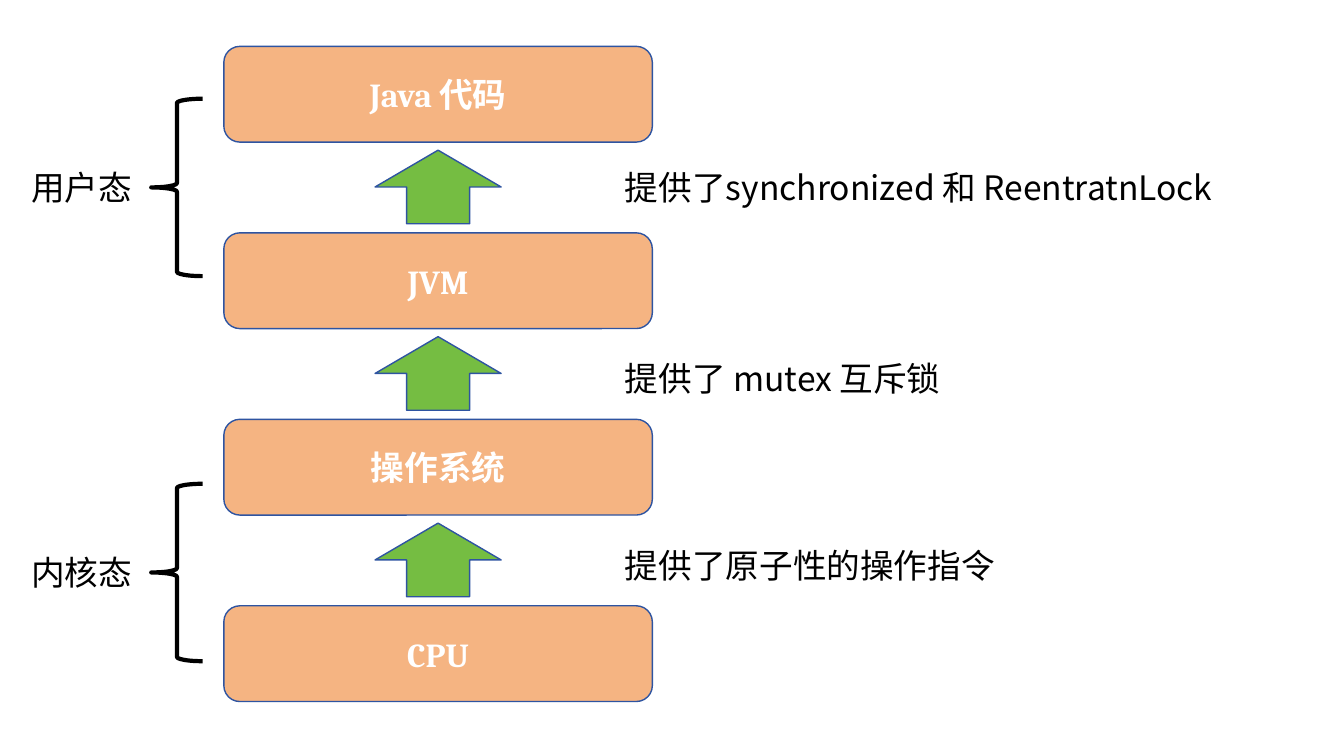
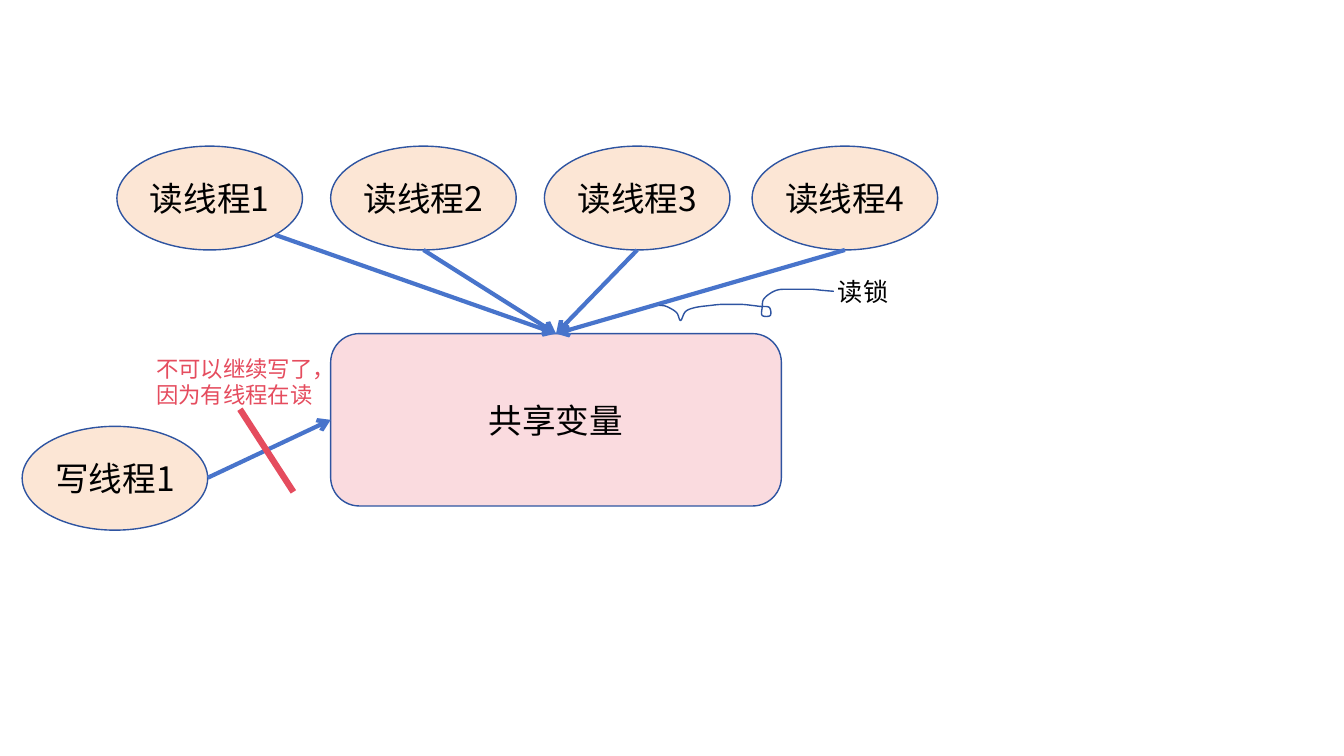
from dataclasses import dataclass

from lxml.etree import SubElement
from pptx import Presentation
from pptx.dml.color import RGBColor
from pptx.enum.shapes import MSO_CONNECTOR, MSO_SHAPE
from pptx.enum.text import MSO_ANCHOR, MSO_AUTO_SIZE, PP_ALIGN
from pptx.oxml.ns import qn
from pptx.shapes.autoshape import Shape
from pptx.shapes.connector import Connector
from pptx.slide import Slide
from pptx.util import Emu, Pt

EMU_PER_PX = 9144  # 100 px to the inch
COLORS = {
    "outline": "2E54A1", "layer": "F5B482", "up": "75BD42", "white": "FFFFFF",
    "black": "000000", "thread": "FCE6D5", "shared": "FADBDF",
    "arrow": "4874CB", "forbidden": "E54C5E",
}
SANS = "Noto Sans CJK SC"
SERIF = "Cambria"
TOP, LEFT = 0, 1  # connection sites of a rectangle
CURVE_STEPS = 6


@dataclass(frozen=True)
class Box:
    left: int
    top: int
    width: int
    height: int

    @property
    def center(self) -> int:
        return self.left + self.width // 2

    @property
    def middle(self) -> int:
        return self.top + self.height // 2

    @property
    def bottom(self) -> int:
        return self.top + self.height


@dataclass(frozen=True)
class TextStyle:
    size: int = 24
    color: str = "black"
    font: str = SANS
    bold: bool = False
    align: PP_ALIGN = PP_ALIGN.LEFT


@dataclass(frozen=True)
class Label:
    text: str
    box: Box
    style: TextStyle = TextStyle()


@dataclass(frozen=True)
class Thread:
    text: str
    box: Box
    start: tuple[int, int]
    site: int


LAYER_STYLE = TextStyle(color="white", font=SERIF, bold=True, align=PP_ALIGN.CENTER)
CENTERED = TextStyle(align=PP_ALIGN.CENTER)

# Layer stack
LAYERS = ("Java 代码", "JVM", "操作系统", "CPU")
FIRST_LAYER = Box(222, 46, 425, 95)
LAYER_PITCH = 185
UP_ARROW = Box(372, 149, 125, 73)
BRACES = (Box(150, 98, 51, 176), Box(150, 480, 51, 176))
STACK_LABELS = (
    Label("提供了synchronized 和 ReentratnLock", Box(610, 161, 718, 50)),
    Label("提供了 mutex 互斥锁", Box(610, 350, 445, 50)),
    Label("提供了原子性的操作指令", Box(610, 536, 445, 50)),
    Label("用户态", Box(21, 161, 125, 50)),
    Label("内核态", Box(21, 543, 125, 50)),
)

# Read lock
SHARED = Box(328, 331, 447, 171)
READER_LEFTS = (116, 328, 540, 746)
READER_TOP, THREAD_WIDTH, THREAD_HEIGHT = 145, 184, 103
WRITER = Box(22, 423, THREAD_WIDTH, THREAD_HEIGHT)
LOCK_LABELS = (
    Label("读锁", Box(811, 269, 90, 40), TextStyle(size=18, align=PP_ALIGN.CENTER)),
    Label("不可以继续写了，因为有线程在读", Box(145, 347, 196, 64),
          TextStyle(size=16, color="forbidden")),
)
LOCK_CURVE = (
    (654, 303), (661, 304), (671, 310), (675, 318), (680, 309), (690, 305),
    (705, 303), (715, 302), (725, 302), (736, 302), (746, 303), (754, 304),
    (763, 305), (764, 313), (756, 313), (756, 305), (758, 296), (770, 288),
    (784, 287), (796, 287), (806, 287), (815, 288), (827, 289),
)


def px(value: float) -> Emu:
    return Emu(round(value * EMU_PER_PX))


def color(name: str) -> RGBColor:
    return RGBColor.from_string(COLORS[name])


def write(shape: Shape, text: str, style: TextStyle) -> None:
    para = shape.text_frame.paragraphs[0]
    para.text = text
    para.alignment = style.align
    font = para.font
    font.size, font.bold, font.name = Pt(style.size), style.bold, style.font
    font.color.rgb = color(style.color)
    # East Asian glyphs use the sans face
    for properties in shape.element.iter(qn("a:defRPr")):
        SubElement(properties, qn("a:ea")).set("typeface", SANS)


def outline(shape: Shape, line: str = "outline", width: float = 1) -> None:
    shape.shadow.inherit = False
    shape.line.color.rgb = color(line)
    shape.line.width = Pt(width)


def add_figure(page: Slide, kind: MSO_SHAPE, box: Box, fill: str) -> Shape:
    shape = page.shapes.add_shape(
        kind, px(box.left), px(box.top), px(box.width), px(box.height))
    outline(shape)
    shape.fill.solid()
    shape.fill.fore_color.rgb = color(fill)
    return shape


def add_node(page: Slide, kind: MSO_SHAPE, box: Box, fill: str,
             text: str, style: TextStyle = CENTERED) -> Shape:
    shape = add_figure(page, kind, box, fill)
    frame = shape.text_frame
    frame.word_wrap = False
    frame.vertical_anchor = MSO_ANCHOR.MIDDLE
    frame.margin_left = frame.margin_right = 0
    write(shape, text, style)
    return shape


def add_label(page: Slide, label: Label) -> None:
    box = label.box
    shape = page.shapes.add_textbox(
        px(box.left), px(box.top), px(box.width), px(box.height))
    shape.text_frame.word_wrap = True
    shape.text_frame.auto_size = MSO_AUTO_SIZE.SHAPE_TO_FIT_TEXT
    write(shape, label.text, label.style)


def add_brace(page: Slide, box: Box) -> None:
    brace = add_figure(page, MSO_SHAPE.LEFT_BRACE, box, "white")
    brace.fill.background()
    outline(brace, "black", 3)


def add_line(page: Slide, start: tuple[int, int], end: tuple[int, int],
             line: str, width: float) -> Connector:
    connector = page.shapes.add_connector(
        MSO_CONNECTOR.STRAIGHT, *(px(value) for value in start + end))
    connector.line.color.rgb = color(line)
    connector.line.width = Pt(width)
    SubElement(connector.element.spPr, qn("a:effectLst"))
    return connector


def add_thread_arrow(page: Slide, thread: Thread, target: Shape) -> None:
    connector = add_line(page, thread.start, (SHARED.center, SHARED.top), "arrow", 3)
    connector.end_connect(target, thread.site)
    line = connector.element.spPr.find(qn("a:ln"))
    SubElement(line, qn("a:tailEnd")).set("type", "arrow")


def smooth(points: tuple[tuple[int, int], ...]) -> list[tuple[float, float]]:
    """Sample a Catmull-Rom curve through the points."""
    padded = (points[0], *points, points[-1])
    result: list[tuple[float, float]] = [points[0]]
    for before, start, end, after in zip(padded, padded[1:], padded[2:], padded[3:]):
        for step in range(1, CURVE_STEPS + 1):
            t = step / CURVE_STEPS
            x, y = (
                (2 * b + (c - a) * t + (2 * a - 5 * b + 4 * c - d) * t ** 2
                 + (3 * b - a - 3 * c + d) * t ** 3) / 2
                for a, b, c, d in zip(before, start, end, after))
            result.append((x, y))
    return result


def add_curve(page: Slide, points: tuple[tuple[int, int], ...]) -> None:
    first, *rest = [(px(x), px(y)) for x, y in smooth(points)]
    builder = page.shapes.build_freeform(*first)
    builder.add_line_segments(rest, close=False)
    curve = builder.convert_to_shape()
    curve.fill.background()
    outline(curve)


def build_layer_stack(page: Slide) -> None:
    for index, text in enumerate(LAYERS):
        offset = index * LAYER_PITCH
        box = Box(FIRST_LAYER.left, FIRST_LAYER.top + offset,
                  FIRST_LAYER.width, FIRST_LAYER.height)
        add_node(page, MSO_SHAPE.ROUNDED_RECTANGLE, box, "layer", text, LAYER_STYLE)
        # An arrow fills each gap between layers
        if index < len(LAYERS) - 1:
            arrow = Box(UP_ARROW.left, UP_ARROW.top + offset,
                        UP_ARROW.width, UP_ARROW.height)
            add_figure(page, MSO_SHAPE.UP_ARROW, arrow, "up")
    for brace in BRACES:
        add_brace(page, brace)
    for label in STACK_LABELS:
        add_label(page, label)


def list_threads() -> list[Thread]:
    threads = []
    for number, left in enumerate(READER_LEFTS, start=1):
        box = Box(left, READER_TOP, THREAD_WIDTH, THREAD_HEIGHT)
        # The outermost reader leaves from its lower right
        start = (273, 233) if number == 1 else (box.center, box.bottom)
        threads.append(Thread(f"读线程{number}", box, start, TOP))
    writer_start = (WRITER.left + WRITER.width, WRITER.middle)
    threads.append(Thread("写线程1", WRITER, writer_start, LEFT))
    return threads


def build_read_lock(page: Slide) -> None:
    shared = add_node(page, MSO_SHAPE.ROUNDED_RECTANGLE, SHARED, "shared", "共享变量")
    for thread in list_threads():
        add_node(page, MSO_SHAPE.OVAL, thread.box, "thread", thread.text)
        add_thread_arrow(page, thread, shared)
    add_curve(page, LOCK_CURVE)
    # Stroke that strikes out the write arrow
    add_line(page, (238, 406), (291, 488), "forbidden", 4.5)
    for label in LOCK_LABELS:
        add_label(page, label)


def main() -> None:
    deck = Presentation()
    deck.slide_width, deck.slide_height = px(1333), px(750)
    blank = deck.slide_layouts[6]
    for build in (build_layer_stack, build_read_lock):
        build(deck.slides.add_slide(blank))
    deck.save("out.pptx")


if __name__ == "__main__":
    main()
